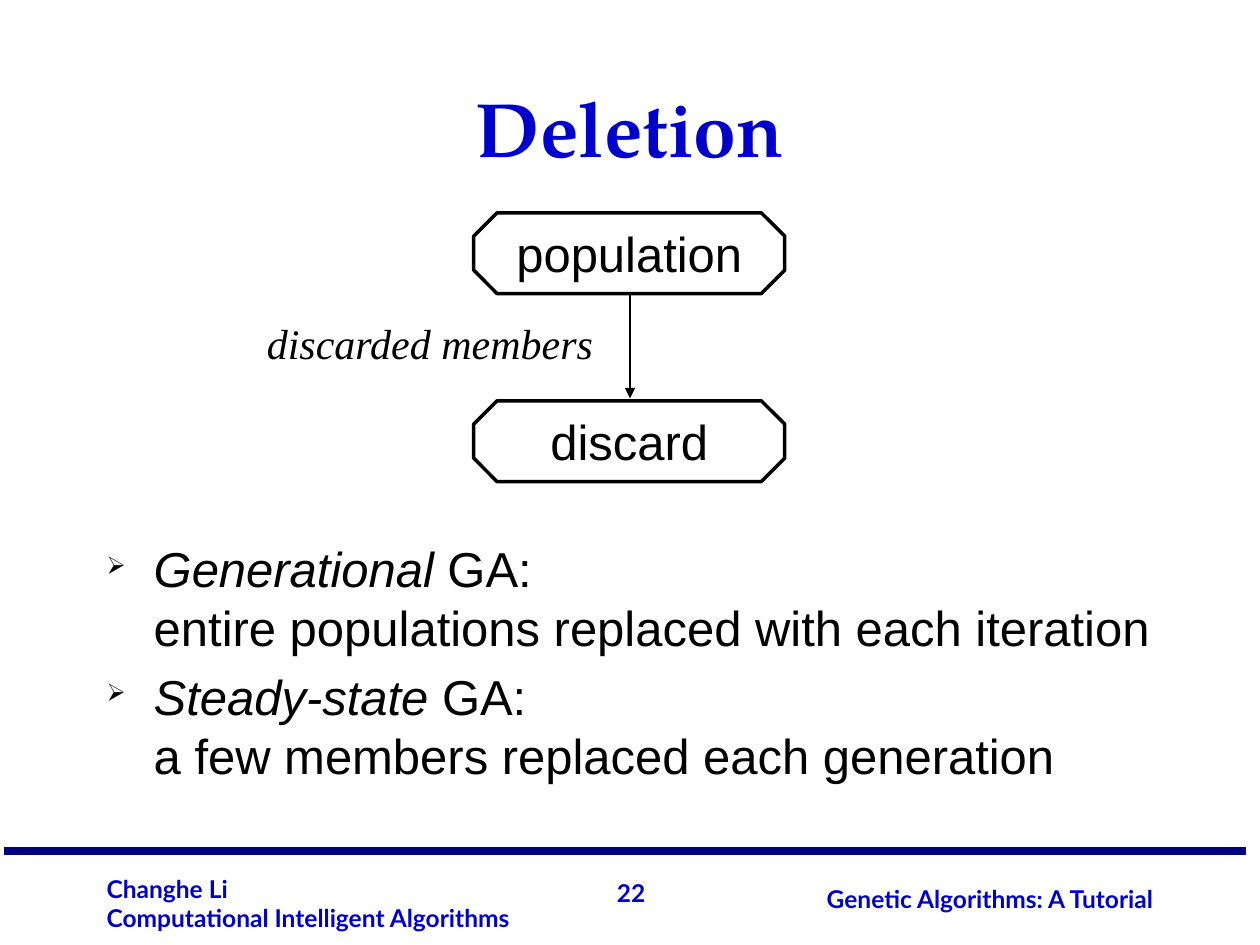
from dataclasses import dataclass

from lxml import etree
from pptx import Presentation
from pptx.dml.color import RGBColor
from pptx.enum.shapes import MSO_CONNECTOR, MSO_SHAPE
from pptx.enum.text import MSO_ANCHOR, PP_ALIGN
from pptx.oxml.ns import qn
from pptx.shapes.connector import Connector
from pptx.slide import Slide
from pptx.text.text import TextFrame
from pptx.util import Cm, Pt

LEFT, CENTER, RIGHT = PP_ALIGN.LEFT, PP_ALIGN.CENTER, PP_ALIGN.RIGHT
TOP, MIDDLE, BOTTOM = MSO_ANCHOR.TOP, MSO_ANCHOR.MIDDLE, MSO_ANCHOR.BOTTOM
OCTAGON = MSO_SHAPE.OCTAGON
STRAIGHT = MSO_CONNECTOR.STRAIGHT

COLORS = {"black": "000000", "white": "FFFFFF", "blue": "0000CC", "navy": "000080"}


@dataclass(frozen=True)
class Style:
    font: str
    size: float
    color: str = "black"
    bold: bool = False
    italic: bool = False


@dataclass(frozen=True)
class Label:
    lines: tuple[str, ...]
    left: float
    top: float
    width: float
    height: float
    style: Style
    align: PP_ALIGN = LEFT
    anchor: MSO_ANCHOR = MIDDLE
    wrap: bool = True


@dataclass(frozen=True)
class Node:
    text: str
    top: float


@dataclass(frozen=True)
class Bullet:
    term: str
    kind: str
    meaning: str


@dataclass(frozen=True)
class Line:
    start: tuple[float, float]
    end: tuple[float, float]
    color: str
    weight: float
    arrow: bool = False


FOOTER = Style("Lato", 14, "blue", bold=True)
HEADING = Style("TeX Gyre Pagella", 44, "blue", bold=True)
BODY = Style("Arial", 28)
ARROW_NOTE = Style("Times New Roman", 24, italic=True)

LABELS = (
    Label(("22",), 12.17, 17.58, 1.09, 0.84, FOOTER, RIGHT, wrap=False),
    Label(("Changhe Li", "Computational Intelligent Algorithms"), 1.9, 17.48, 9.53, 1.45, FOOTER),
    Label(("Genetic Algorithms: A Tutorial",), 15.04, 17.7, 8.46, 0.84, FOOTER, RIGHT),
    Label(("Deletion",), 1.9, 0.64, 21.6, 2.97, HEADING, CENTER, BOTTOM),
    Label(("discarded members",), 5.13, 6.27, 7.11, 1.27, ARROW_NOTE, anchor=TOP, wrap=False),
)
NODES = (Node("population", 4.29), Node("discard", 8.08))
BULLETS = (
    Bullet("Generational", "GA:", "entire populations replaced with each iteration"),
    Bullet("Steady-state", "GA:", "a few members replaced each generation"),
)
LINES = (
    Line((0.08, 17.15), (25.12, 17.15), "navy", 4.5),
    Line((12.7, 5.94), (12.7, 8.03), "black", 1, arrow=True),
)


def rgb(name: str) -> RGBColor:
    return RGBColor.from_string(COLORS[name])


def write_lines(frame: TextFrame, lines: tuple[str, ...], style: Style, align: PP_ALIGN) -> None:
    for index, line in enumerate(lines):
        para = frame.add_paragraph() if index else frame.paragraphs[0]
        para.text = line
        para.alignment = align
        apply_style(para.font, style)


def apply_style(font, style: Style) -> None:
    font.name = style.font
    font.size = Pt(style.size)
    font.bold = style.bold
    font.italic = style.italic
    font.color.rgb = rgb(style.color)


def draw_label(page: Slide, label: Label) -> None:
    box = page.shapes.add_textbox(Cm(label.left), Cm(label.top), Cm(label.width), Cm(label.height))
    frame = box.text_frame
    frame.word_wrap = label.wrap
    frame.vertical_anchor = label.anchor
    write_lines(frame, label.lines, label.style, label.align)


def draw_node(page: Slide, node: Node) -> None:
    shape = page.shapes.add_shape(OCTAGON, Cm(9.55), Cm(node.top), Cm(6.27), Cm(1.63))
    shape.adjustments[0] = 0.29
    shape.shadow.inherit = False
    shape.fill.solid()
    shape.fill.fore_color.rgb = rgb("white")
    shape.line.color.rgb = rgb("black")
    shape.line.width = Pt(2)
    frame = shape.text_frame
    frame.word_wrap = False
    frame.vertical_anchor = MIDDLE
    write_lines(frame, (node.text,), BODY, CENTER)


def draw_line(page: Slide, line: Line) -> Connector:
    start_x, start_y = line.start
    end_x, end_y = line.end
    connector = page.shapes.add_connector(STRAIGHT, Cm(start_x), Cm(start_y), Cm(end_x), Cm(end_y))
    connector.line.color.rgb = rgb(line.color)
    connector.line.width = Pt(line.weight)
    properties = connector._element.spPr
    if line.arrow:
        etree.SubElement(properties.find(qn("a:ln")), qn("a:tailEnd"), type="triangle")
    etree.SubElement(properties, qn("a:effectLst"))
    return connector


def draw_bullets(page: Slide, bullets: tuple[Bullet, ...]) -> None:
    frame = page.shapes.add_textbox(Cm(1.9), Cm(10.74), Cm(21.6), Cm(6)).text_frame
    frame.word_wrap = True
    for index, bullet in enumerate(bullets):
        para = frame.add_paragraph() if index else frame.paragraphs[0]
        para.line_spacing = Pt(33.6)
        if index:
            para.space_before = Pt(5.6)
        properties = para._p.get_or_add_pPr()
        properties.set("marL", str(Cm(0.95)))
        properties.set("indent", str(Cm(-0.95)))
        color = etree.SubElement(properties, qn("a:buClr"))
        etree.SubElement(color, qn("a:srgbClr"), val=COLORS["black"])
        etree.SubElement(properties, qn("a:buSzPct"), val="50000")
        etree.SubElement(properties, qn("a:buChar"), char="➢")
        apply_style(para.font, BODY)
        term = para.add_run()
        term.text = bullet.term
        term.font.italic = True
        para.add_run().text = f" {bullet.kind}"
        para.add_line_break()
        para.add_run().text = bullet.meaning


def main() -> None:
    deck = Presentation()
    deck.slide_width, deck.slide_height = Cm(25.4), Cm(19.05)
    page = deck.slides.add_slide(deck.slide_layouts[6])
    for label in LABELS:
        draw_label(page, label)
    draw_bullets(page, BULLETS)
    for node in NODES:
        draw_node(page, node)
    for line in LINES:
        draw_line(page, line)
    deck.save("out.pptx")


if __name__ == "__main__":
    main()
